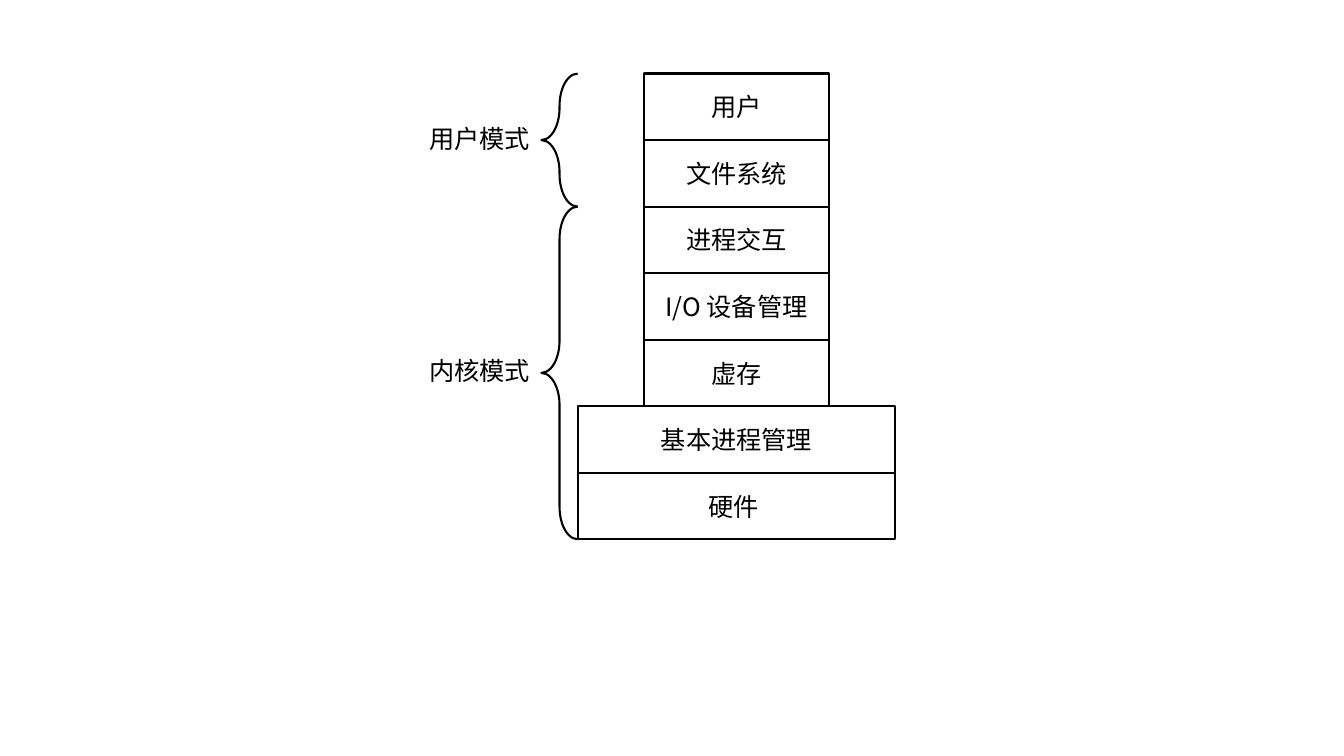
from typing import NamedTuple

from lxml.etree import SubElement
from pptx import Presentation
from pptx.dml.color import RGBColor
from pptx.enum.shapes import MSO_SHAPE
from pptx.enum.text import MSO_ANCHOR, PP_ALIGN
from pptx.oxml.ns import qn
from pptx.util import Inches, Pt

BLACK = RGBColor(0, 0, 0)
FACE = "Noto Sans CJK SC"
FONT = {"name": FACE, "size": Pt(18)}
FRAME = {
    "word_wrap": True,
    "vertical_anchor": MSO_ANCHOR.MIDDLE,
    "margin_left": Inches(0.1),
    "margin_right": Inches(0.1),
    "margin_top": Inches(0.05),
    "margin_bottom": Inches(0.05),
}
TOP, ROW = 0.73, 0.66
LEFT, WIDE, STEP = 5.73, 3.15, 0.66
BRACE_X, BRACE_W = 5.37, 0.36
LABEL_X, LABEL_W, LABEL_H, LIFT = 4.16, 1.36, 0.4, 0.22


class Layer(NamedTuple):
    """One row of the stack, set in by a number of steps on each side."""
    text: str
    inset: int


class Mode(NamedTuple):
    """A label with a brace over a run of rows."""
    text: str
    first: int
    count: int


LAYERS = [
    Layer("用户", 1),
    Layer("文件系统", 1),
    Layer("进程交互", 1),
    Layer("I/O 设备管理", 1),
    Layer("虚存", 1),
    Layer("基本进程管理", 0),
    Layer("硬件 ", 0),
]
MODES = [Mode("用户模式", 0, 2), Mode("内核模式", 2, 5)]


def apply(item, values: dict) -> None:
    """Set each named value on the item."""
    for name, value in values.items():
        setattr(item, name, value)


def write(shape, text: str, align: PP_ALIGN) -> None:
    """Put one line of black text in the shape."""
    apply(shape.text_frame, FRAME)
    para = shape.text_frame.paragraphs[0]
    para.alignment = align
    run = para.add_run()
    run.text = text
    apply(run.font, FONT)
    run.font.color.rgb = BLACK
    SubElement(run.font._element, qn("a:ea"), typeface=FACE)


def outline(slide, kind: MSO_SHAPE, x: float, y: float, w: float, h: float):
    """Draw an unfilled shape with a black edge."""
    shape = slide.shapes.add_shape(kind, Inches(x), Inches(y), Inches(w), Inches(h))
    shape.shadow.inherit = False
    shape.fill.background()
    shape.line.color.rgb = BLACK
    shape.line.width = Pt(1.5)
    return shape


def add_layer(slide, row: int, layer: Layer) -> None:
    """Draw one layer of the stack."""
    inset = layer.inset * STEP
    box = outline(slide, MSO_SHAPE.RECTANGLE, LEFT + inset, TOP + row * ROW,
                  WIDE - 2 * inset, ROW)
    write(box, layer.text, PP_ALIGN.CENTER)


def add_mode(slide, mode: Mode) -> None:
    """Draw one brace and its label."""
    top, high = TOP + mode.first * ROW, mode.count * ROW
    brace = outline(slide, MSO_SHAPE.LEFT_BRACE, BRACE_X, top, BRACE_W, high)
    brace.adjustments[0] = 0.89
    brace.adjustments[1] = 0.5
    label = slide.shapes.add_textbox(Inches(LABEL_X), Inches(top + high / 2 - LIFT),
                                     Inches(LABEL_W), Inches(LABEL_H))
    write(label, mode.text, PP_ALIGN.LEFT)


def main() -> None:
    """Build and save the slide."""
    deck = Presentation()
    apply(deck, {"slide_width": Inches(13.33), "slide_height": Inches(7.5)})
    slide = deck.slides.add_slide(deck.slide_layouts[6])
    for row, layer in enumerate(LAYERS):
        add_layer(slide, row, layer)
    for mode in MODES:
        add_mode(slide, mode)
    deck.save("out.pptx")


if __name__ == "__main__":
    main()
